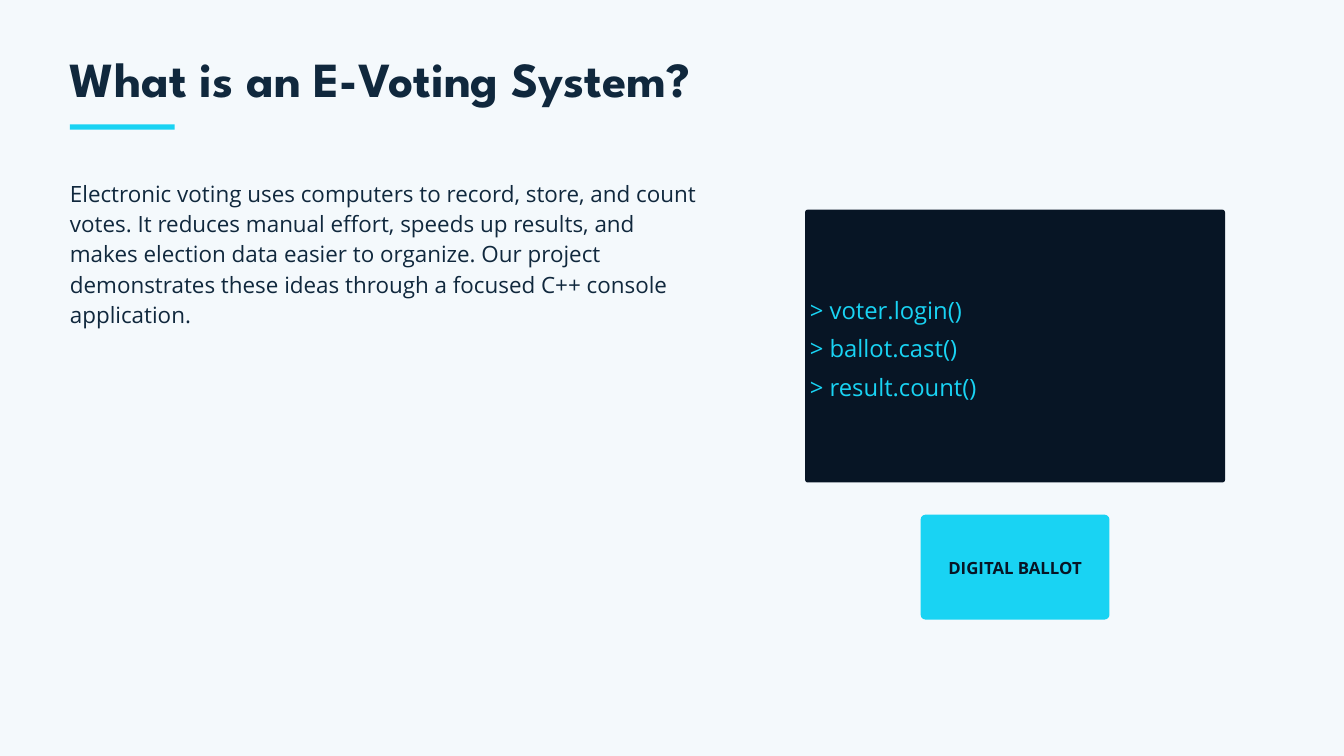
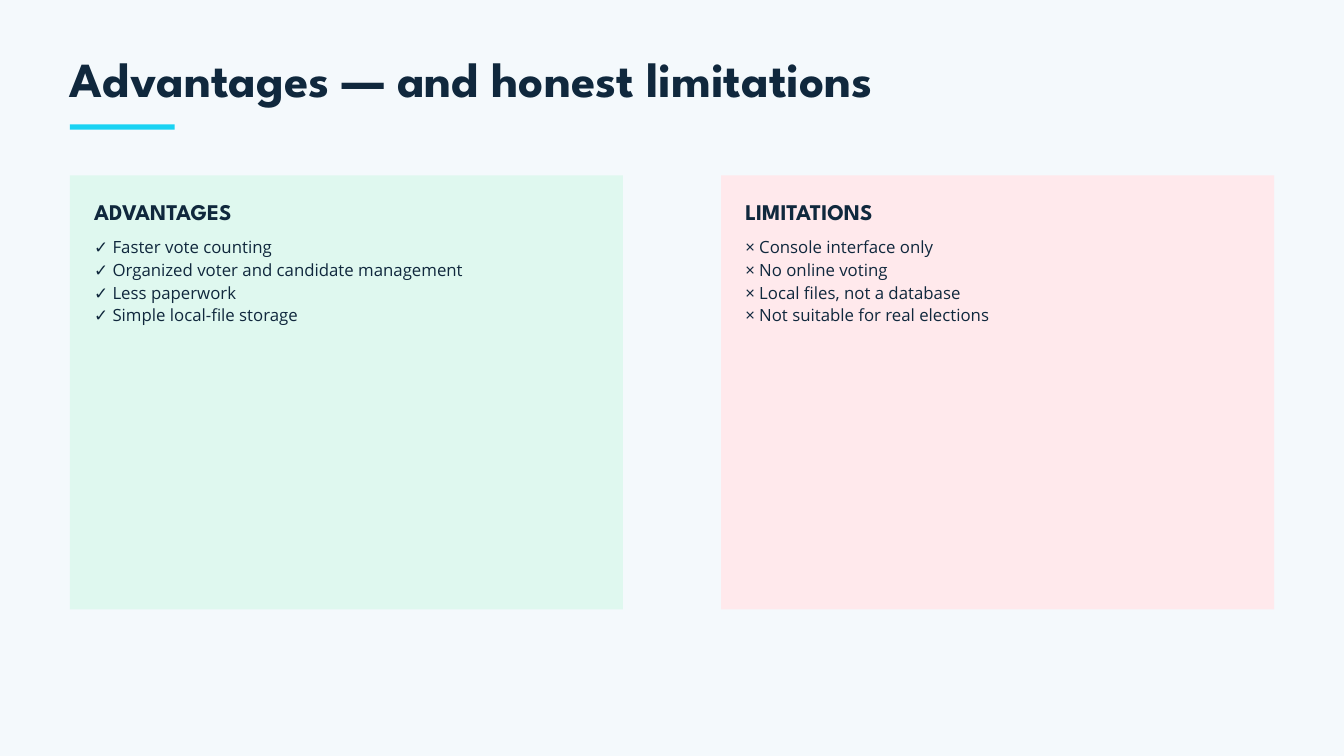
from pptx import Presentation
from pptx.dml.color import RGBColor
from pptx.enum.shapes import MSO_SHAPE
from pptx.enum.text import MSO_ANCHOR, MSO_AUTO_SIZE, PP_ALIGN
from pptx.util import Inches, Pt

RECTANGLE = MSO_SHAPE.RECTANGLE
ROUNDED = MSO_SHAPE.ROUNDED_RECTANGLE
TOP, MIDDLE = MSO_ANCHOR.TOP, MSO_ANCHOR.MIDDLE
LEFT, CENTER = PP_ALIGN.LEFT, PP_ALIGN.CENTER

BACKGROUND = RGBColor(0xF4, 0xF9, 0xFC)
NAVY = RGBColor(0x10, 0x28, 0x3D)
CYAN = RGBColor(0x19, 0xD3, 0xF3)
INK = RGBColor(0x07, 0x15, 0x25)
MINT = RGBColor(0xDF, 0xF8, 0xEF)
PINK = RGBColor(0xFF, 0xE9, 0xEC)

HEADING_FONT = "League Spartan"
BODY_FONT = "Open Sans"
MARGIN = 1.04


def add_block(slide, kind, left, top, width, height, color):
    shape = slide.shapes.add_shape(
        kind, Inches(left), Inches(top), Inches(width), Inches(height))
    shape.shadow.inherit = False
    shape.fill.solid()
    shape.fill.fore_color.rgb = color
    shape.line.fill.background()
    return shape


def write(shape, lines, size, spacing, font=BODY_FONT, color=NAVY, bold=False,
          align=LEFT, anchor=TOP, inset=0):
    frame = shape.text_frame
    frame.word_wrap = True
    frame.auto_size = MSO_AUTO_SIZE.NONE
    frame.vertical_anchor = anchor
    frame.margin_left = frame.margin_right = Inches(inset)
    frame.margin_top = frame.margin_bottom = Inches(inset)
    for index, line in enumerate(lines):
        paragraph = frame.add_paragraph() if index else frame.paragraphs[0]
        paragraph.alignment = align
        paragraph.line_spacing = Pt(spacing)
        paragraph.space_before = Pt(0)
        run = paragraph.add_run()
        run.text = line
        run.font.name = font
        run.font.size = Pt(size)
        run.font.bold = bold
        run.font.color.rgb = color


presentation = Presentation()
presentation.slide_width = Inches(20)
presentation.slide_height = Inches(11.25)
background = presentation.slide_master.background.fill
background.solid()
background.fore_color.rgb = BACKGROUND
title_only = presentation.slide_layouts[5]

# Titles with their accent bar
slides = []
for heading in ("What is an E-Voting System?",
                "Advantages — and honest limitations"):
    slide = presentation.slides.add_slide(title_only)
    title = slide.shapes.title
    title.left, title.top = Inches(MARGIN), Inches(0.83)
    title.width, title.height = Inches(15.62), Inches(0.79)
    write(title, [heading], 52.5, 55.1, font=HEADING_FONT, bold=True)
    add_block(slide, RECTANGLE, MARGIN, 1.85, 1.56, 0.08, CYAN)
    slides.append(slide)
definition_slide, comparison_slide = slides

# Definition: explanation on the left
explanation = definition_slide.shapes.add_textbox(
    Inches(MARGIN), Inches(2.63), Inches(9.38), Inches(2.22))
write(explanation, [
    "Electronic voting uses computers to record, store, and count votes. "
    "It reduces manual effort, speeds up results, and makes election data "
    "easier to organize. Our project demonstrates these ideas through a "
    "focused C++ console application."], 24, 32.4)

# Definition: console and ballot on the right
console = add_block(definition_slide, ROUNDED, 11.98, 3.12, 6.25, 4.06, INK)
console.adjustments[0] = 0.01
write(console, ["> voter.login()", "> ballot.cast()", "> result.count()"],
      25.5, 40.8, color=CYAN, anchor=MIDDLE, inset=0.06)
console.text_frame.margin_bottom = Inches(0.13)

ballot = add_block(definition_slide, ROUNDED, 13.7, 7.66, 2.81, 1.56, CYAN)
ballot.adjustments[0] = 0.045
write(ballot, ["DIGITAL BALLOT"], 18, 25.2, color=INK, bold=True,
      align=CENTER, anchor=MIDDLE, inset=0.06)
ballot.text_frame.margin_bottom = Inches(0.09)

# Comparison: two panels
panel_width, panel_gap, padding = 8.23, 1.46, 0.36
panels = [
    ("ADVANTAGES", MINT, "✓", [
        "Faster vote counting",
        "Organized voter and candidate management",
        "Less paperwork",
        "Simple local-file storage"]),
    ("LIMITATIONS", PINK, "×", [
        "Console interface only",
        "No online voting",
        "Local files, not a database",
        "Not suitable for real elections"]),
]
for column, (label, color, mark, points) in enumerate(panels):
    left = MARGIN + column * (panel_width + panel_gap)
    add_block(comparison_slide, RECTANGLE, left, 2.61, panel_width, 6.46, color)
    text_left = Inches(left + padding)
    text_width = Inches(panel_width - 2 * padding)
    label_box = comparison_slide.shapes.add_textbox(
        text_left, Inches(2.88), text_width, Inches(0.43))
    write(label_box, [label], 24, 33.6, font=HEADING_FONT, bold=True)
    points_box = comparison_slide.shapes.add_textbox(
        text_left, Inches(3.49), text_width, Inches(1.31))
    write(points_box, [f"{mark} {point}" for point in points], 18, 24.3)

presentation.save("out.pptx")
